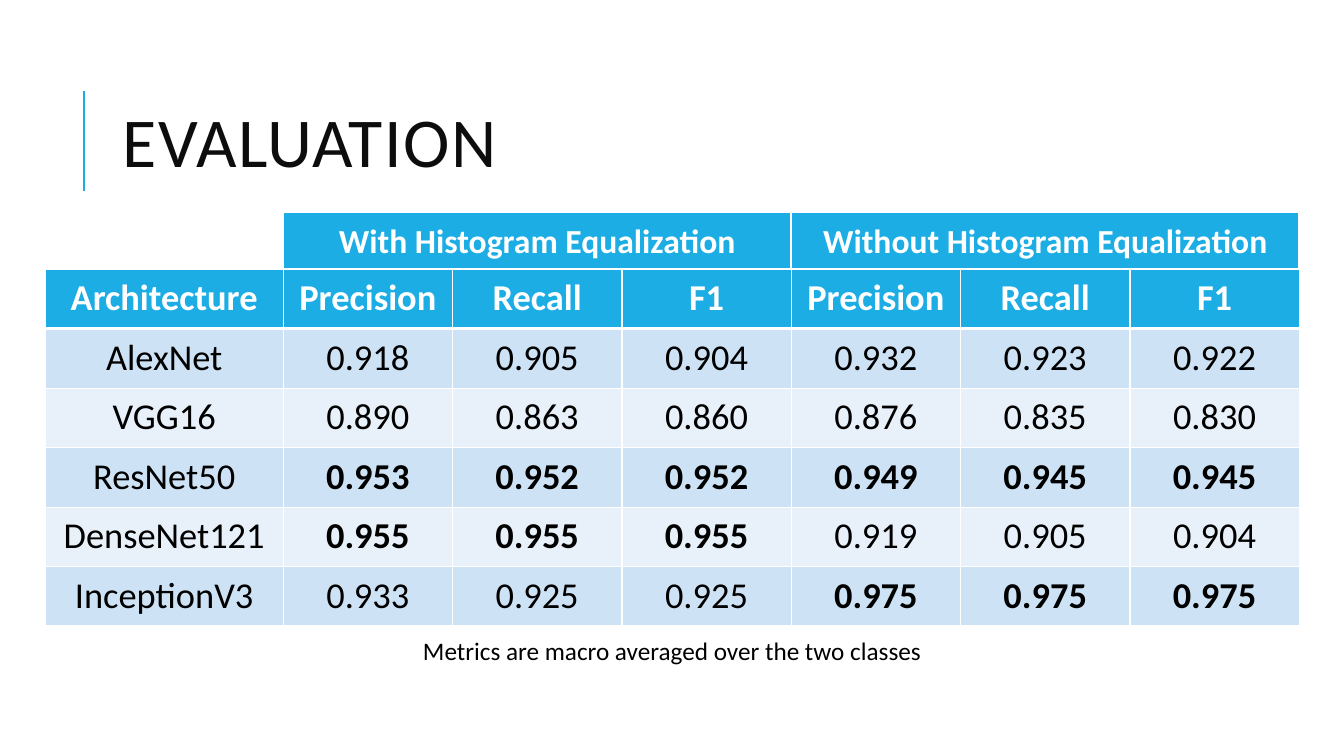
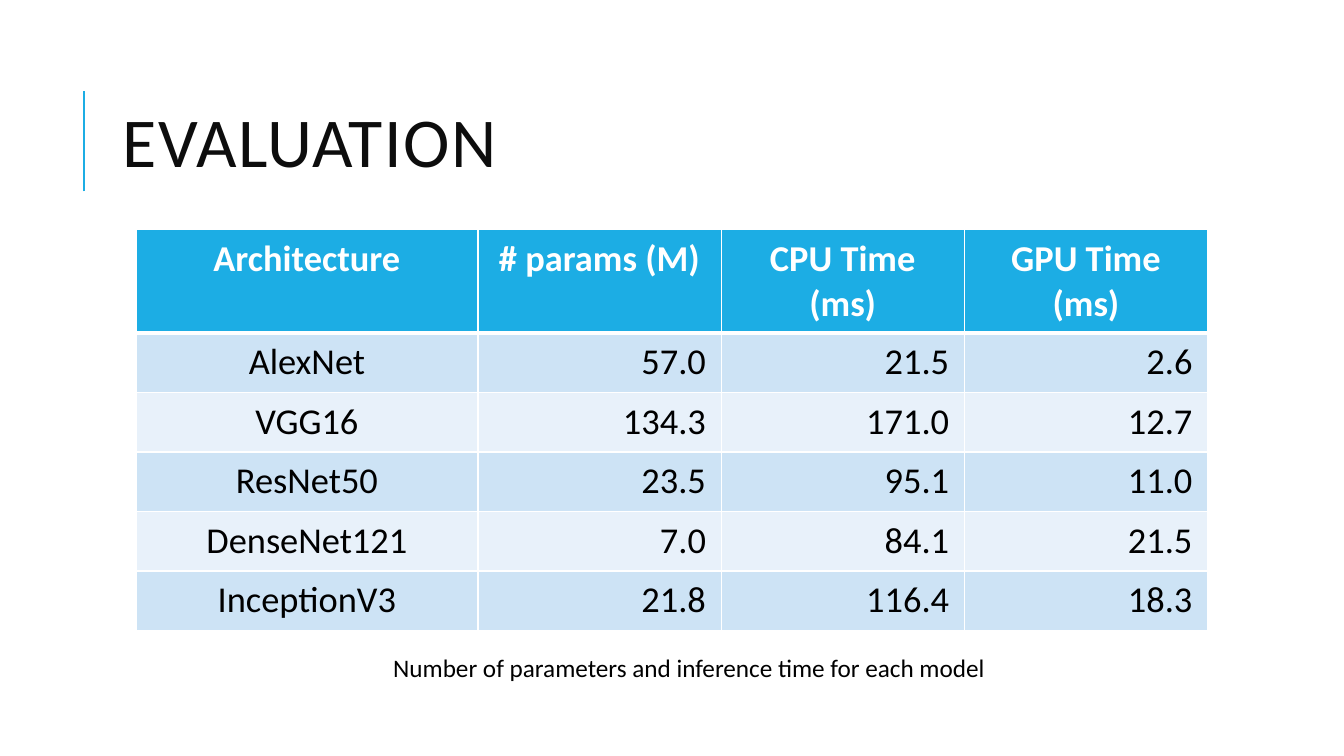
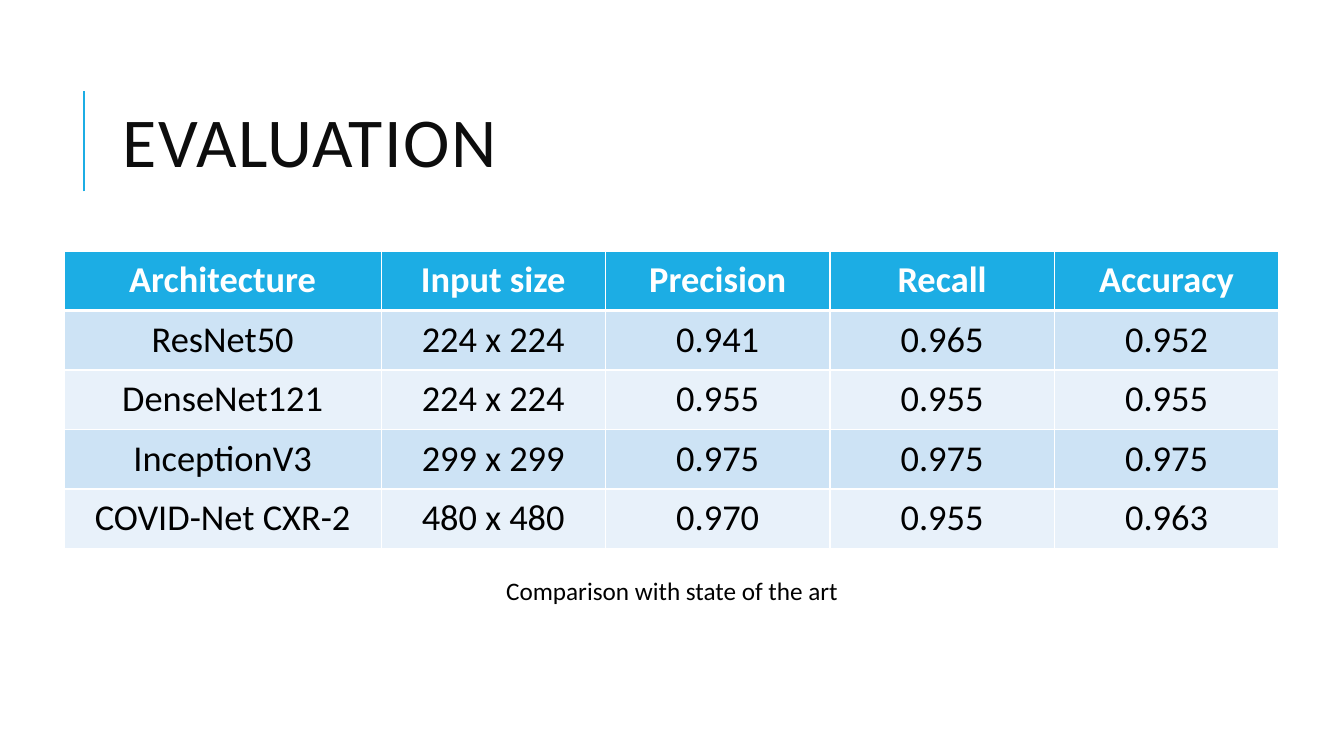
"""Build three evaluation slides with result tables."""
from dataclasses import dataclass
from typing import Any

from lxml.etree import SubElement
from pptx import Presentation
from pptx.dml.color import RGBColor
from pptx.enum.shapes import MSO_CONNECTOR, MSO_SHAPE
from pptx.enum.text import MSO_ANCHOR, MSO_AUTO_SIZE, PP_ALIGN
from pptx.oxml.ns import qn
from pptx.util import Inches, Pt

WIDTH, HEIGHT = 13.33, 7.5
ACCENT, WHITE, BLACK, TITLE_INK = "1CADE4", "FFFFFF", "000000", "0D0D0D"
BANDS = ("CDE3F5", "E8F1FA")
ROW = 7.87
TITLE = {"name": "Calibri", "size": Pt(50), "bold": False}
CELL = {"name": "Calibri", "size": Pt(26), "bold": False}
HEAD = CELL | {"bold": True}
GROUP = HEAD | {"size": Pt(24)}
CAPTION = CELL | {"size": Pt(18)}
MARGINS = {"margin_left": Inches(0.15), "margin_right": Inches(0.15),
           "margin_top": Inches(0.07), "margin_bottom": Inches(0.07)}


@dataclass(frozen=True)
class Results:
    """A table slide, with lengths in percent of the slide's size."""
    left: float
    top: float
    first_col: float
    col: float
    rows: tuple[str, ...]
    caption: str
    caption_top: float
    caption_left: float = 3.38
    head_height: float = ROW
    align: PP_ALIGN = PP_ALIGN.CENTER
    groups: tuple[str, ...] = ()
    bold_best: int = 0


SLIDES = (
    Results(3.38, 35.6, 17.7, 12.6, (
        "Architecture|Precision|Recall|F1|Precision|Recall|F1",
        "AlexNet|0.918|0.905|0.904|0.932|0.923|0.922",
        "VGG16|0.890|0.863|0.860|0.876|0.835|0.830",
        "ResNet50|0.953|0.952|0.952|0.949|0.945|0.945",
        "DenseNet121|0.955|0.955|0.955|0.919|0.905|0.904",
        "InceptionV3|0.933|0.925|0.925|0.975|0.975|0.975",
    ), "Metrics are macro averaged over the two classes", 83.33,
        groups=("With Histogram Equalization", "Without Histogram Equalization"),
        bold_best=2),
    Results(10.13, 30.4, 25.43, 18.1, (
        "Architecture|# params (M)|CPU Time (ms)|GPU Time (ms)",
        "AlexNet|57.0|21.5|2.6",
        "VGG16|134.3|171.0|12.7",
        "ResNet50|23.5|95.1|11.0",
        "DenseNet121|7.0|84.1|21.5",
        "InceptionV3|21.8|116.4|18.3",
    ), "Number of parameters and inference time for each model", 85.6,
        caption_left=4.65, head_height=13.6, align=PP_ALIGN.RIGHT),
    Results(4.8, 33.2, 23.56, 16.7, (
        "Architecture|Input size|Precision|Recall|Accuracy",
        "ResNet50|224 x 224|0.941|0.965|0.952",
        "DenseNet121|224 x 224|0.955|0.955|0.955",
        "InceptionV3|299 x 299|0.975|0.975|0.975",
        "COVID-Net CXR-2|480 x 480|0.970|0.955|0.963",
    ), "Comparison with state of the art", 75.47),
)


def rgb(color: str) -> RGBColor:
    """Turn a hex string into a colour."""
    return RGBColor.from_string(color)


def x(share: float) -> int:
    """Turn a percentage of the slide's width into a length."""
    return Inches(WIDTH * share / 100)


def y(share: float) -> int:
    """Turn a percentage of the slide's height into a length."""
    return Inches(HEIGHT * share / 100)


def box(left: float, top: float, width: float, height: float) -> tuple[int, ...]:
    """Turn four percentages into a position and a size."""
    return x(left), y(top), x(width), y(height)


def apply(target: Any, values: dict[str, Any]) -> None:
    """Set attributes from a dict of format values."""
    for name, value in values.items():
        setattr(target, name, value)


def write(tf: Any, text: str, font: dict[str, Any], color: str,
          align: PP_ALIGN = PP_ALIGN.CENTER) -> Any:
    """Write one formatted paragraph and return it."""
    p = tf.paragraphs[0]
    p.alignment = align
    r = p.add_run()
    r.text = text
    apply(r.font, font)
    r.font.color.rgb = rgb(color)
    return p


def add_title(s: Any) -> None:
    """Fill the title placeholder and draw the rule beside it."""
    sp = s.shapes.title
    apply(sp, dict(zip(("left", "top", "width", "height"),
                       box(8.4, 8.53, 79.74, 21.87))))
    tf = sp.text_frame
    apply(tf, {"auto_size": MSO_AUTO_SIZE.NONE, "word_wrap": True,
               "vertical_anchor": MSO_ANCHOR.MIDDLE})
    p = write(tf, "EVALUATION", TITLE, TITLE_INK, PP_ALIGN.LEFT)
    p.line_spacing = 0.8
    p.runs[0].font._element.set("spc", "100")
    rule = s.shapes.add_connector(MSO_CONNECTOR.STRAIGHT,
                                  x(6.23), y(25.33), x(6.23), y(12))
    rule.line.color.rgb = rgb(ACCENT)
    rule.line.width = Pt(1.5)
    SubElement(rule._element.spPr, qn("a:effectLst"))


def add_borders(cell: Any, top: float, bottom: float) -> None:
    """Give a cell white borders of the given widths."""
    tc_pr = cell._tc.get_or_add_tcPr()
    for side, width in zip("LRTB", (1, 1, top, bottom)):
        ln = SubElement(tc_pr, qn(f"a:ln{side}"), w=str(Pt(width)))
        SubElement(SubElement(ln, qn("a:solidFill")), qn("a:srgbClr"), val=WHITE)


def add_results(s: Any, results: Results) -> None:
    """Draw the table, marking the best values of each column."""
    rows = [row.split("|") for row in results.rows]
    n_cols = len(rows[0])
    best = [sorted(values)[len(values) - results.bold_best:]
            for values in zip(*rows[1:])]
    width = results.first_col + results.col * (n_cols - 1)
    height = results.head_height + ROW * (len(rows) - 1)
    table = s.shapes.add_table(len(rows), n_cols, *box(
        results.left, results.top, width, height)).table
    for j, col in enumerate(table.columns):
        col.width = x(results.col if j else results.first_col)
    for i, row in enumerate(rows):
        table.rows[i].height = y(ROW if i else results.head_height)
        for j, text in enumerate(row):
            cell = table.cell(i, j)
            apply(cell, MARGINS)
            add_borders(cell, 3 if i == 1 else 1, 1 if i else 3)
            cell.fill.solid()
            cell.fill.fore_color.rgb = rgb(BANDS[(i - 1) % 2] if i else ACCENT)
            bold = i == 0 or (j > 0 and text in best[j])
            write(cell.text_frame, text, HEAD if bold else CELL,
                  BLACK if i else WHITE,
                  results.align if i and j else PP_ALIGN.CENTER)


def add_groups(s: Any, results: Results) -> None:
    """Draw the group headings above the table's columns."""
    height = 7.6
    width = 3 * results.col
    for k, text in enumerate(results.groups):
        sp = s.shapes.add_shape(MSO_SHAPE.RECTANGLE, *box(
            results.left + results.first_col + k * width,
            results.top - height, width, height))
        sp.shadow.inherit = False
        sp.fill.solid()
        sp.fill.fore_color.rgb = rgb(ACCENT)
        sp.line.color.rgb = rgb(WHITE)
        sp.line.width = Pt(1.25)
        apply(sp.text_frame, {"word_wrap": True,
                              "vertical_anchor": MSO_ANCHOR.MIDDLE})
        write(sp.text_frame, text, GROUP, WHITE)


def add_caption(s: Any, results: Results) -> None:
    """Write the caption below the table."""
    tf = s.shapes.add_textbox(*box(
        results.caption_left, results.caption_top, 93.25, 5.33)).text_frame
    tf.word_wrap = True
    write(tf, results.caption, CAPTION, BLACK)


def main() -> None:
    """Build and save the presentation."""
    prs = Presentation()
    apply(prs, {"slide_width": Inches(WIDTH), "slide_height": Inches(HEIGHT)})
    for results in SLIDES:
        s = prs.slides.add_slide(prs.slide_layouts[5])
        add_title(s)
        add_results(s, results)
        add_groups(s, results)
        add_caption(s, results)
    prs.save("out.pptx")


if __name__ == "__main__":
    main()
